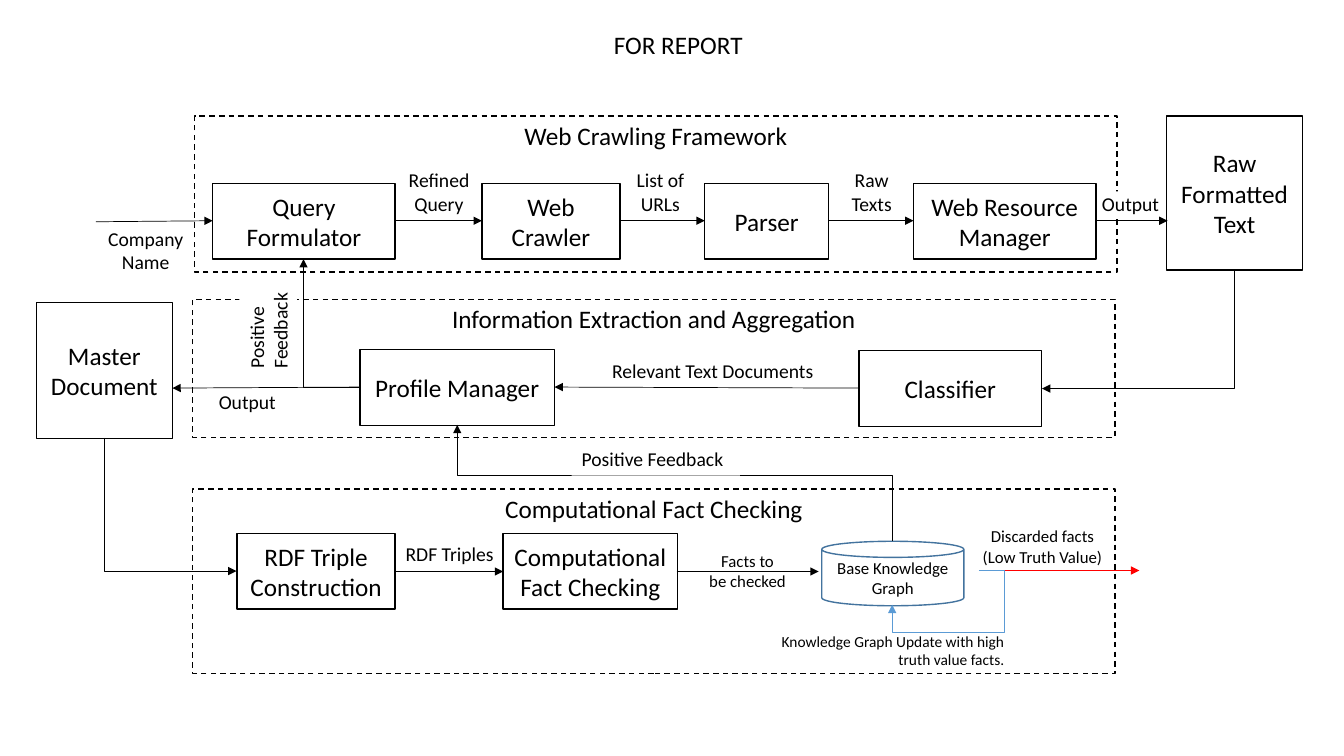
from lxml.etree import SubElement
from pptx import Presentation
from pptx.dml.color import RGBColor
from pptx.enum.dml import MSO_LINE
from pptx.enum.shapes import MSO_CONNECTOR, MSO_SHAPE
from pptx.enum.text import MSO_ANCHOR, MSO_AUTO_SIZE, PP_ALIGN
from pptx.oxml.ns import qn
from pptx.util import Emu, Pt

PX = 9144
BLACK = RGBColor(0x00, 0x00, 0x00)
WHITE = RGBColor(0xFF, 0xFF, 0xFF)
RED = RGBColor(0xFF, 0x00, 0x00)
BLUE = RGBColor(0x5B, 0x9B, 0xD5)
DARK_BLUE = RGBColor(0x43, 0x73, 0x9E)
LEFT, CENTER, RIGHT = PP_ALIGN.LEFT, PP_ALIGN.CENTER, PP_ALIGN.RIGHT

presentation = Presentation()
presentation.slide_width = Emu(1333 * PX)
presentation.slide_height = Emu(750 * PX)
slide = presentation.slides.add_slide(presentation.slide_layouts[6])


def write(shape, text, size, alignment):
    shape.text_frame.text = text
    for paragraph in shape.text_frame.paragraphs:
        paragraph.alignment = alignment
        for run in paragraph.runs:
            run.font.name = "Calibri"
            run.font.size = Pt(size)
            run.font.color.rgb = BLACK


def add_arrow(kind, begin_x, begin_y, end_x, end_y, color):
    connector = slide.shapes.add_connector(
        kind, *(Emu(value * PX) for value in (begin_x, begin_y, end_x, end_y)))
    connector.line.color.rgb = color
    connector.line.width = Pt(0.5)
    properties = connector._element.spPr
    SubElement(properties.find(qn("a:ln")), qn("a:tailEnd"), type="triangle")
    SubElement(properties, qn("a:effectLst"))
    return properties


frames = [
    ("Web Crawling Framework", 193, 115, 155),
    ("Information Extraction and Aggregation", 191, 297, 137),
    ("Computational Fact Checking", 191, 485, 183),
]
for text, left, top, height in frames:
    frame = slide.shapes.add_shape(
        MSO_SHAPE.RECTANGLE, *(Emu(value * PX) for value in (left, top, 915, height)))
    frame.shadow.inherit = False
    frame.fill.background()
    frame.line.color.rgb = BLACK
    frame.line.width = Pt(1)
    frame.line.dash_style = MSO_LINE.DASH
    frame.text_frame.vertical_anchor = MSO_ANCHOR.TOP
    frame.text_frame.margin_top = Emu(4 * PX)
    write(frame, text, 18, CENTER)

boxes = [
    ("Query Formulator", 211, 182, 181, 75),
    ("Web Crawler", 478, 182, 137, 75),
    ("Parser", 699, 182, 123, 75),
    ("Web Resource Manager", 906, 182, 181, 75),
    ("Raw Formatted Text", 1157, 115, 135, 153),
    ("Classifier", 852, 348, 181, 75),
    ("Profile Manager", 357, 347, 193, 75),
    ("Master Document", 36, 300, 135, 135),
    ("RDF Triple Construction", 235, 529, 157, 75),
    ("Computational Fact Checking", 499, 529, 173, 75),
]
for text, *bounds in boxes:
    box = slide.shapes.add_shape(
        MSO_SHAPE.RECTANGLE, *(Emu(value * PX) for value in bounds))
    box.shadow.inherit = False
    box.fill.solid()
    box.fill.fore_color.rgb = WHITE
    box.line.color.rgb = BLACK
    box.line.width = Pt(1)
    box.text_frame.vertical_anchor = MSO_ANCHOR.MIDDLE
    write(box, text, 18, CENTER)

knowledge_graph = slide.shapes.add_shape(
    MSO_SHAPE.CAN, *(Emu(value * PX) for value in (815, 537, 141, 64)))
knowledge_graph.shadow.inherit = False
knowledge_graph.fill.background()
knowledge_graph.line.color.rgb = DARK_BLUE
knowledge_graph.line.width = Pt(1)
knowledge_graph.text_frame.vertical_anchor = MSO_ANCHOR.MIDDLE
write(knowledge_graph, "Base Knowledge Graph", 12, CENTER)

straight_arrows = [
    (95, 220, 211, 219, BLACK),
    (392, 219, 478, 219, BLACK),
    (615, 219, 699, 219, BLACK),
    (822, 219, 906, 219, BLACK),
    (1087, 219, 1158, 219, BLACK),
    (852, 385, 550, 384, BLACK),
    (357, 384, 171, 385, BLACK),
    (392, 567, 499, 567, BLACK),
    (671, 567, 812, 567, BLACK),
    (972, 566, 1130, 566, RED),
]
for arrow in straight_arrows:
    add_arrow(MSO_CONNECTOR.STRAIGHT, *arrow)

elbow_arrows = [
    ("bentConnector2", 1070, 231, 118, 191, 90, "", [], BLACK),
    ("bentConnector2", 301, 257, 55, 127, 180, "", [], BLACK),
    ("bentConnector2", 103, 435, 132, 131, 270, "flipH", [], BLACK),
    ("bentConnector4", 885, 566, 86, 34, 0, "flipH", [-29000, 179200], BLUE),
    ("bentConnector3", 612, 263, 115, 432, 270, "flipV", [56300], BLACK),
]
for preset, left, top, width, height, angle, flip, adjustments, color in elbow_arrows:
    properties = add_arrow(
        MSO_CONNECTOR.ELBOW, left, top, left + width, top + height, color)
    transform = properties.find(qn("a:xfrm"))
    transform.set("rot", str(angle * 60000))
    if flip:
        transform.set(flip, "1")
    geometry = properties.find(qn("a:prstGeom"))
    geometry.set("prst", preset)
    guides = geometry.find(qn("a:avLst"))
    for number, value in enumerate(adjustments, 1):
        SubElement(guides, qn("a:gd"), name=f"adj{number}", fmla=f"val {value}")

labels = [
    ("FOR REPORT", 599, 24, 149, 40, 18, LEFT, False),
    ("Company\nName", 97, 220, 95, 57, 14, CENTER, False),
    ("Refined\nQuery", 395, 162, 81, 57, 14, CENTER, False),
    ("List of\nURLs", 621, 162, 68, 57, 14, CENTER, False),
    ("Raw\nTexts", 834, 162, 61, 57, 14, CENTER, False),
    ("Relevant Text Documents", 596, 351, 222, 34, 14, CENTER, False),
    ("RDF Triples", 384, 533, 124, 47, 14, CENTER, True),
    ("Facts to\nbe checked", 678, 541, 127, 50, 12, CENTER, True),
    ("Discarded facts\n(Low Truth Value)", 959, 517, 150, 50, 12, CENTER, True),
    ("Knowledge Graph Update with high truth value facts.",
     764, 622, 242, 47, 11, RIGHT, True),
    ("Positive\nFeedback", 218, 299, 96, 57, 14, LEFT, False),
    ("Positive Feedback", 567, 438, 167, 34, 14, LEFT, True),
    ("Output", 1093, 190, 57, 24, 14, LEFT, False),
    ("Output", 217, 387, 57, 24, 14, LEFT, False),
]
for text, left, top, width, height, size, alignment, wraps in labels:
    label = slide.shapes.add_textbox(
        *(Emu(value * PX) for value in (left, top, width, height)))
    text_frame = label.text_frame
    text_frame.word_wrap = wraps
    text_frame.auto_size = MSO_AUTO_SIZE.SHAPE_TO_FIT_TEXT
    write(label, text, size, alignment)
    if text == "Output":
        text_frame.margin_left = text_frame.margin_right = 0
        text_frame.margin_top = text_frame.margin_bottom = 0
    if text == "Output" or text.startswith("Positive"):
        label.fill.solid()
        label.fill.fore_color.rgb = WHITE
    if text == "Positive\nFeedback":
        label.rotation = 270

presentation.save("out.pptx")
